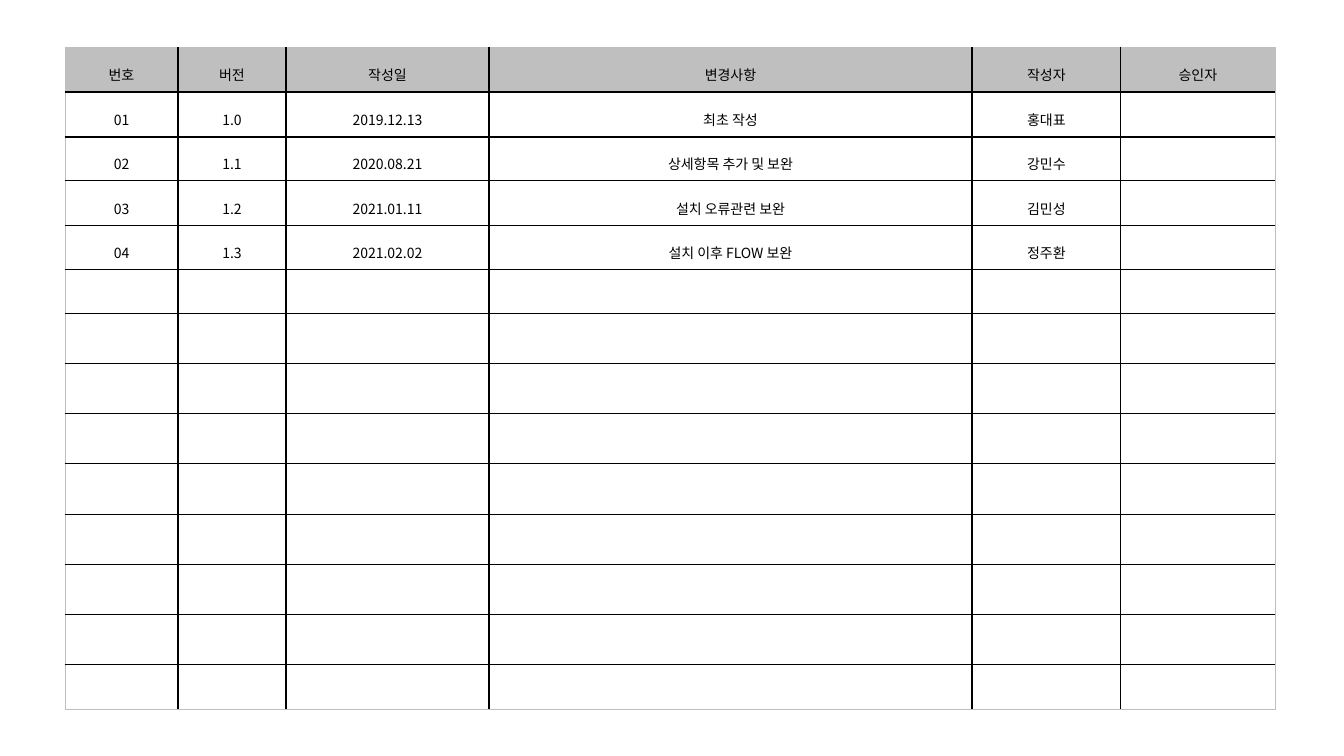
import pptx
import pptx.dml.color
import pptx.enum.text
import pptx.oxml
import pptx.oxml.ns
import pptx.util

HEADER = ["번호", "버전", "작성일", "변경사항", "작성자", "승인자"]
REVISIONS = [
    ["01", "1.0", "2019.12.13", "최초 작성", "홍대표", ""],
    ["02", "1.1", "2020.08.21", "상세항목 추가 및 보완", "강민수", ""],
    ["03", "1.2", "2021.01.11", "설치 오류관련 보완", "김민성", ""],
    ["04", "1.3", "2021.02.02", "설치 이후 FLOW 보완", "정주환", ""],
]
COL_WIDTHS = [113, 108, 203, 483, 149, 154]
ROW_HEIGHTS = [45, 45, 44, 45, 44, 44, 50, 50, 50, 51, 50, 50, 50, 45]
LEFT, TOP = 65, 47
FONT = "Noto Sans CJK KR"
BLACK, GREY = "000000", "BFBFBF"


def px(n):
    return pptx.util.Emu(round(n * 914400 / 100.8))


def rgb(value):
    return pptx.dml.color.RGBColor.from_string(value)


def set_borders(cell, colors):
    tc_pr = cell._tc.get_or_add_tcPr()
    for i, (side, color) in enumerate(colors.items()):
        width = 12700 if color == BLACK else 6350
        tc_pr.insert(i, pptx.oxml.parse_xml(
            f'<a:{side} {pptx.oxml.ns.nsdecls("a")} w="{width}">'
            f'<a:solidFill><a:srgbClr val="{color}"/></a:solidFill></a:{side}>'))


def set_text(cell, text):
    cell.vertical_anchor = pptx.enum.text.MSO_ANCHOR.MIDDLE
    p = cell.text_frame.paragraphs[0]
    p.text = text
    p.alignment = pptx.enum.text.PP_ALIGN.CENTER
    p.line_spacing = 1.5
    p.font.size = pptx.util.Pt(10)
    p.font.bold = False
    p.font.color.rgb = rgb(BLACK)
    p.font.name = FONT
    latin = p._p.pPr.find(".//" + pptx.oxml.ns.qn("a:latin"))
    latin.addnext(pptx.oxml.parse_xml(
        f'<a:ea {pptx.oxml.ns.nsdecls("a")} typeface="{FONT}"/>'))


prs = pptx.Presentation()
prs.slide_width, prs.slide_height = px(1344), px(756)
s = prs.slides.add_slide(prs.slide_layouts[6])

n_rows, n_cols = len(ROW_HEIGHTS), len(COL_WIDTHS)
table = s.shapes.add_table(n_rows, n_cols, px(LEFT), px(TOP),
                           px(sum(COL_WIDTHS)), px(sum(ROW_HEIGHTS))).table
table.first_row = False
table.horz_banding = False
for col, width in zip(table.columns, COL_WIDTHS):
    col.width = px(width)
for row, height in zip(table.rows, ROW_HEIGHTS):
    row.height = px(height)

content = [HEADER] + REVISIONS
content += [[""] * n_cols] * (n_rows - len(content))
for r, values in enumerate(content):
    for c, value in enumerate(values):
        cell = table.cell(r, c)
        set_text(cell, value)
        if r == 0:
            cell.fill.solid()
            cell.fill.fore_color.rgb = rgb(GREY)
        else:
            cell.fill.background()
        set_borders(cell, {
            "lnL": GREY if c == 0 else BLACK,
            "lnR": GREY if c == n_cols - 1 else BLACK,
            "lnT": GREY if r == 0 else BLACK,
            "lnB": GREY if r == n_rows - 1 else BLACK,
        })

prs.save("out.pptx")
